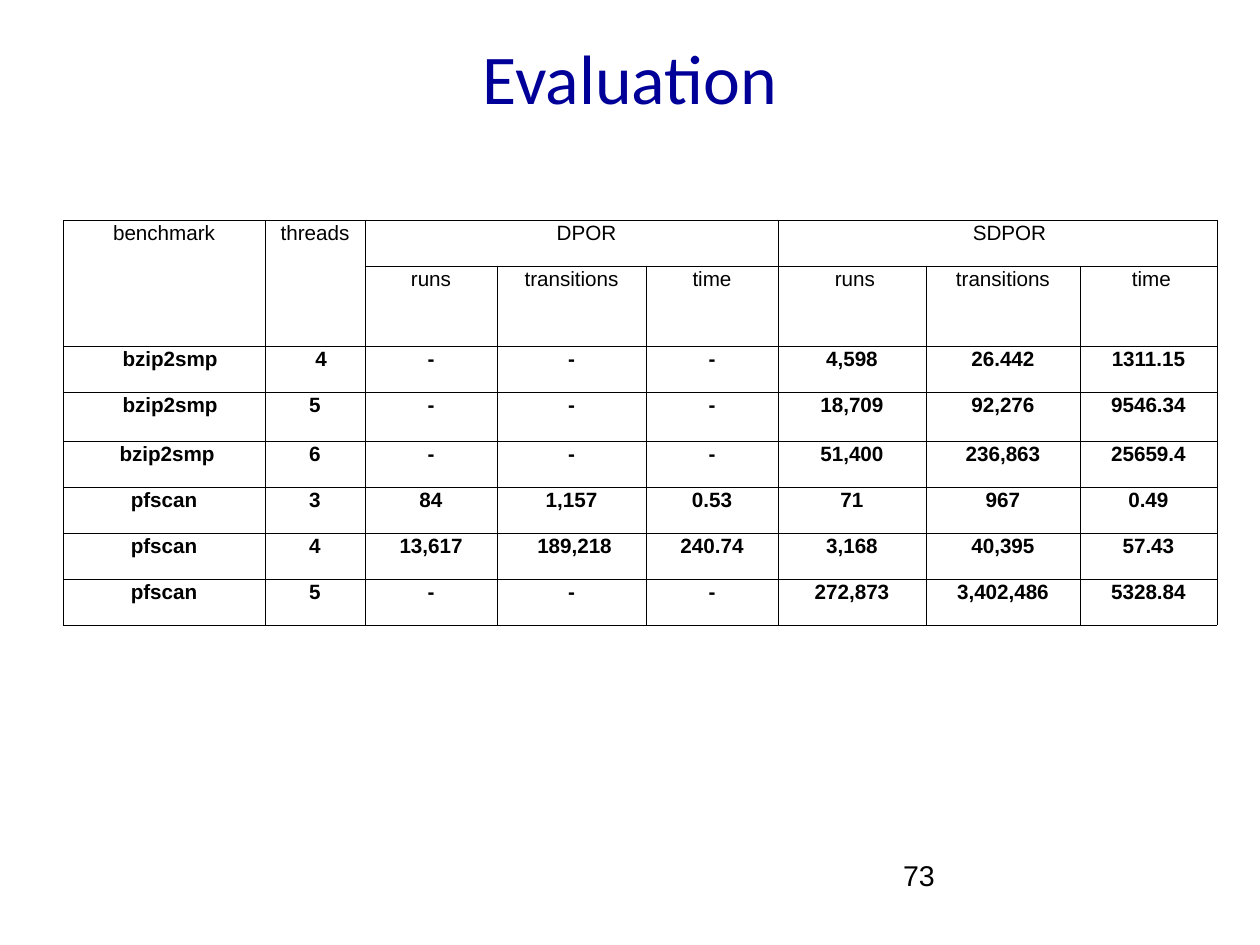
from lxml import etree
from pptx import Presentation
from pptx.dml.color import RGBColor
from pptx.enum.text import MSO_ANCHOR, PP_ALIGN
from pptx.oxml.ns import qn
from pptx.util import Emu, Pt

LEFT, CENTER, TOP = PP_ALIGN.LEFT, PP_ALIGN.CENTER, MSO_ANCHOR.TOP
BLACK = RGBColor(0x00, 0x00, 0x00)
NAVY = RGBColor(0x00, 0x00, 0x99)
PLAIN_TABLE_STYLE = "{2D5ABB26-0587-4C30-8999-92F81FD0307C}"
INNER_LINE, OUTER_LINE = Pt(0.11), Pt(0.23)
INSET_X, INSET_Y, SPACE_WIDTH = 11, 6, 6

COLUMN_WIDTHS = [202, 100, 132, 149, 132, 148, 154, 137]
ROW_HEIGHTS = [46, 80, 46, 49, 46, 46, 46, 46]
MEASURES = ["runs", "transitions", "time"]
RESULTS = [
    ["benchmark", "threads", "DPOR", None, None, "SDPOR", None, None],
    [None, None] + MEASURES * 2,
    ["bzip2smp", "4", "-", "-", "-", "4,598", "26.442", "1311.15"],
    ["bzip2smp", "5", "-", "-", "-", "18,709", "92,276", "9546.34"],
    ["bzip2smp", "6", "-", "-", "-", "51,400", "236,863", "25659.4"],
    ["pfscan", "3", "84", "1,157", "0.53", "71", "967", "0.49"],
    ["pfscan", "4", "13,617", "189,218", "240.74", "3,168", "40,395", "57.43"],
    ["pfscan", "5", "-", "-", "-", "272,873", "3,402,486", "5328.84"],
]
SPANS = {(0, 0): (2, 1), (0, 1): (2, 1), (0, 2): (1, 3), (0, 5): (1, 3)}
INDENTS = {(0, 2): 5, (0, 5): 4, (1, 5): 1, (1, 7): 1, (2, 0): 2,
           (2, 1): 2, (3, 0): 2, (4, 0): 1, (6, 3): 1}
OPEN_EDGES = {(1, 2): "L", (1, 3): "T", (1, 4): "T", (1, 6): "T", (1, 7): "T"}


def px(length):
    """Turn whole pixels into EMU."""
    return Emu(length * 8000)


class SlideBuilder:
    """Holds the text style and the current slide."""

    def __init__(self, deck):
        self.font = "Arial"
        self.page = deck.slides.add_slide(deck.slide_layouts[6])

    def paragraph(self, frame, text, size, color=BLACK, font=None, bold=False,
                  align=CENTER, spacing=1.0):
        """Put one styled paragraph into a text frame."""
        para = frame.paragraphs[0]
        para.alignment = align
        para.line_spacing = spacing
        span = para.add_run()
        span.text = text
        span.font.name = font or self.font
        span.font.size = Pt(size)
        span.font.bold = bold
        span.font.color.rgb = color

    def text(self, left, top, width, height, text, size, inset=(0, 0), **style):
        """Add a wrapping text box."""
        box = self.page.shapes.add_textbox(px(left), px(top), px(width), px(height))
        frame = box.text_frame
        frame.word_wrap = True
        frame.vertical_anchor = TOP
        frame.margin_left = frame.margin_right = px(inset[0])
        frame.margin_top = frame.margin_bottom = px(inset[1])
        self.paragraph(frame, text, size, **style)

    def border(self, cell, widths):
        """Draw black lines on the given edges of a cell."""
        properties = cell._tc.get_or_add_tcPr()
        for edge, width in widths.items():
            line = etree.SubElement(properties, qn(f"a:ln{edge}"), w=str(width))
            fill = etree.SubElement(line, qn("a:solidFill"))
            etree.SubElement(fill, qn("a:srgbClr"), val=str(BLACK))

    def table(self, left, top, widths, heights, rows):
        """Add the results table with merged headings."""
        frame = self.page.shapes.add_table(
            len(heights), len(widths), px(left), px(top),
            px(sum(widths)), px(sum(heights)))
        table = frame.table
        table.first_row = table.horz_banding = False
        table._tbl.tblPr.find(qn("a:tableStyleId")).text = PLAIN_TABLE_STYLE
        for column, width in zip(table.columns, widths):
            column.width = px(width)
        for row, height in zip(table.rows, heights):
            row.height = px(height)
        for y, row in enumerate(rows):
            for x, text in enumerate(row):
                cell = table.cell(y, x)
                if text is not None:
                    self.result(table, cell, y, x, text)
                cell.fill.background()

    def result(self, table, cell, y, x, text):
        """Fill one visible cell and draw its edges."""
        tall, wide = SPANS.get((y, x), (1, 1))
        if (tall, wide) != (1, 1):
            cell.merge(table.cell(y + tall - 1, x + wide - 1))
        outside = {"L": x == 0, "R": x + wide == len(table.columns),
                   "T": y == 0, "B": y + tall == len(table.rows)}
        self.border(cell, {
            edge: OUTER_LINE if outer else INNER_LINE
            for edge, outer in outside.items()
            if edge != OPEN_EDGES.get((y, x))})
        cell.margin_left = px(INSET_X + SPACE_WIDTH * INDENTS.get((y, x), 0))
        cell.margin_right = px(INSET_X)
        cell.margin_top = cell.margin_bottom = px(INSET_Y)
        cell.vertical_anchor = TOP
        self.paragraph(cell.text_frame, text, 13, bold=y > 1, spacing=0.78)


def main():
    """Build the evaluation slide."""
    deck = Presentation()
    deck.slide_width, deck.slide_height = px(1260), px(945)
    builder = SlideBuilder(deck)
    builder.text(63, 38, 1134, 110, "Evaluation", 44, inset=(INSET_X, INSET_Y),
                 color=NAVY, font="Calibri", spacing=0.9)
    builder.table(63, 220, COLUMN_WIDTHS, ROW_HEIGHTS, RESULTS)
    builder.text(903, 861, 293, 65, "73", 18, align=LEFT, spacing=0.93)
    deck.save("out.pptx")


if __name__ == "__main__":
    main()
